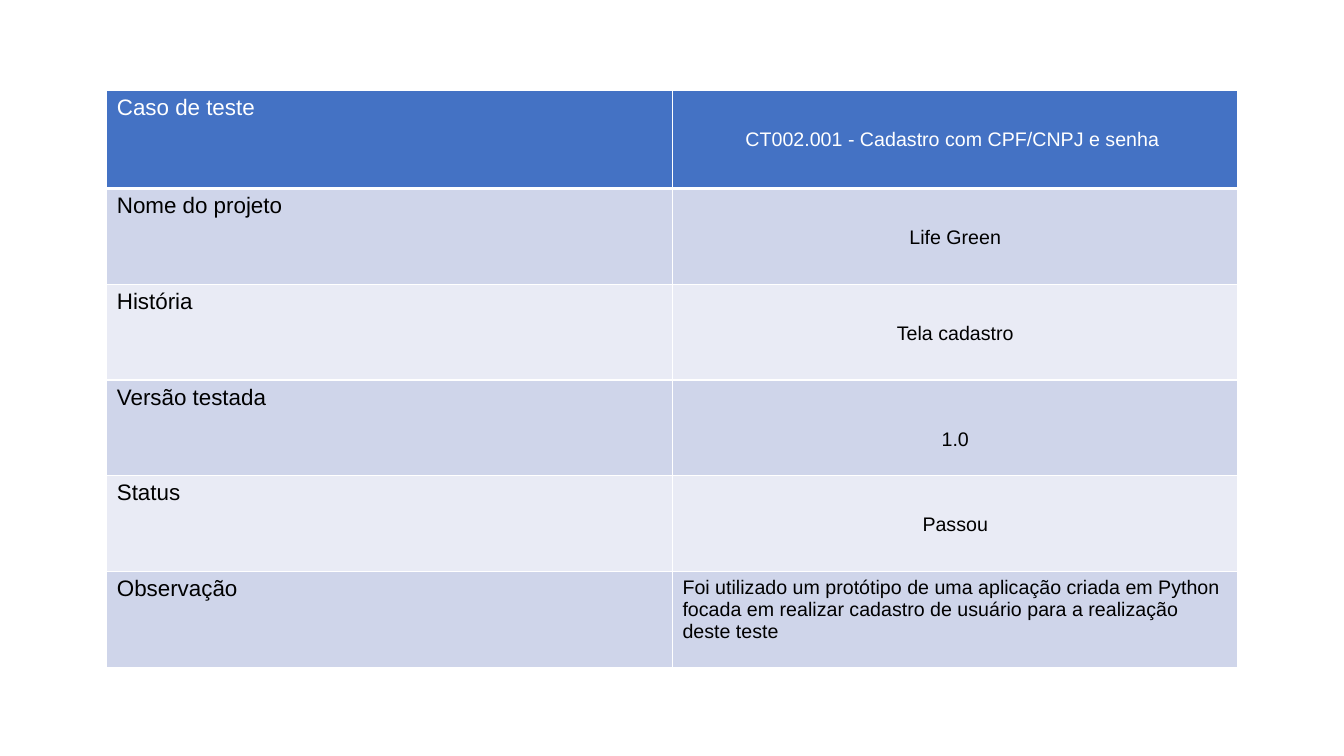
import pptx
import pptx.dml.color
import pptx.enum.text
import pptx.oxml
import pptx.oxml.ns
import pptx.util

Inches = pptx.util.Inches
ALIGN = pptx.enum.text.PP_ALIGN

COLORS = {
    "header": "4472C4",
    "band_dark": "CFD5EA",
    "band_light": "E9EBF5",
    "white": "FFFFFF",
    "black": "000000",
}

# Label, value, line spacing of the value (None: plain left-aligned text)
TEST_CASE = [
    ("Caso de teste", "CT002.001 - Cadastro com CPF/CNPJ e senha ", 2.5),
    ("Nome do projeto", "Life Green", 2.5),
    ("História", "Tela cadastro", 2.5),
    ("Versão testada", "1.0", 3.0),
    ("Status", "Passou", 2.5),
    (
        "Observação",
        "Foi utilizado um protótipo de uma aplicação criada em Python focada em "
        "realizar cadastro de usuário para a realização deste teste",
        None,
    ),
]


def rgb(name):
    return pptx.dml.color.RGBColor.from_string(COLORS[name])


def write_text(text_frame, text, *, size, color, font, align=ALIGN.LEFT, spacing=None):
    paragraph = text_frame.paragraphs[0]
    paragraph.alignment = align
    paragraph.line_spacing = spacing
    run = paragraph.add_run()
    run.text = text
    run.font.name = font
    run.font.size = pptx.util.Pt(size)
    run.font.bold = False
    run.font.color.rgb = rgb(color)


class SlideBuilder:
    font = "Arial"
    label_size = 16
    value_size = 14

    def __init__(self, slide):
        self.slide = slide

    def set_borders(self, cell, bottom_width):
        """Draw white cell borders; must run before the cell gets its fill."""
        properties = cell._tc.get_or_add_tcPr()
        widths = {"lnL": 1, "lnR": 1, "lnT": 1, "lnB": bottom_width}
        for side, width in widths.items():
            properties.append(pptx.oxml.parse_xml(
                f'<a:{side} {pptx.oxml.ns.nsdecls("a")} w="{pptx.util.Pt(width)}">'
                f'<a:solidFill><a:srgbClr val="{COLORS["white"]}"/></a:solidFill>'
                f'</a:{side}>'
            ))

    def add_test_table(self, records, left, top, column_width, row_heights):
        table = self.slide.shapes.add_table(
            len(records), 2, left, top, column_width * 2, sum(row_heights)
        ).table
        for column in table.columns:
            column.width = column_width
        for index, (label, value, spacing) in enumerate(records):
            table.rows[index].height = row_heights[index]
            is_header = index == 0
            band = "band_dark" if index % 2 else "band_light"
            fill = "header" if is_header else band
            color = "white" if is_header else "black"
            label_cell, value_cell = table.cell(index, 0), table.cell(index, 1)
            for cell in (label_cell, value_cell):
                self.set_borders(cell, 3 if is_header else 1)
                cell.fill.solid()
                cell.fill.fore_color.rgb = rgb(fill)
            write_text(label_cell.text_frame, label, size=self.label_size,
                       color=color, font=self.font)
            write_text(value_cell.text_frame, value, size=self.value_size,
                       color=color, font=self.font, spacing=spacing,
                       align=ALIGN.CENTER if spacing else ALIGN.LEFT)


def main():
    presentation = pptx.Presentation()
    presentation.slide_width = Inches(13.33)
    presentation.slide_height = Inches(7.5)
    slide = presentation.slides.add_slide(presentation.slide_layouts[6])
    row_heights = [Inches(0.97)] + [Inches(0.95)] * (len(TEST_CASE) - 1)
    SlideBuilder(slide).add_test_table(
        TEST_CASE, Inches(1.06), Inches(0.9), Inches(5.61), row_heights
    )
    presentation.save("out.pptx")


if __name__ == "__main__":
    main()
